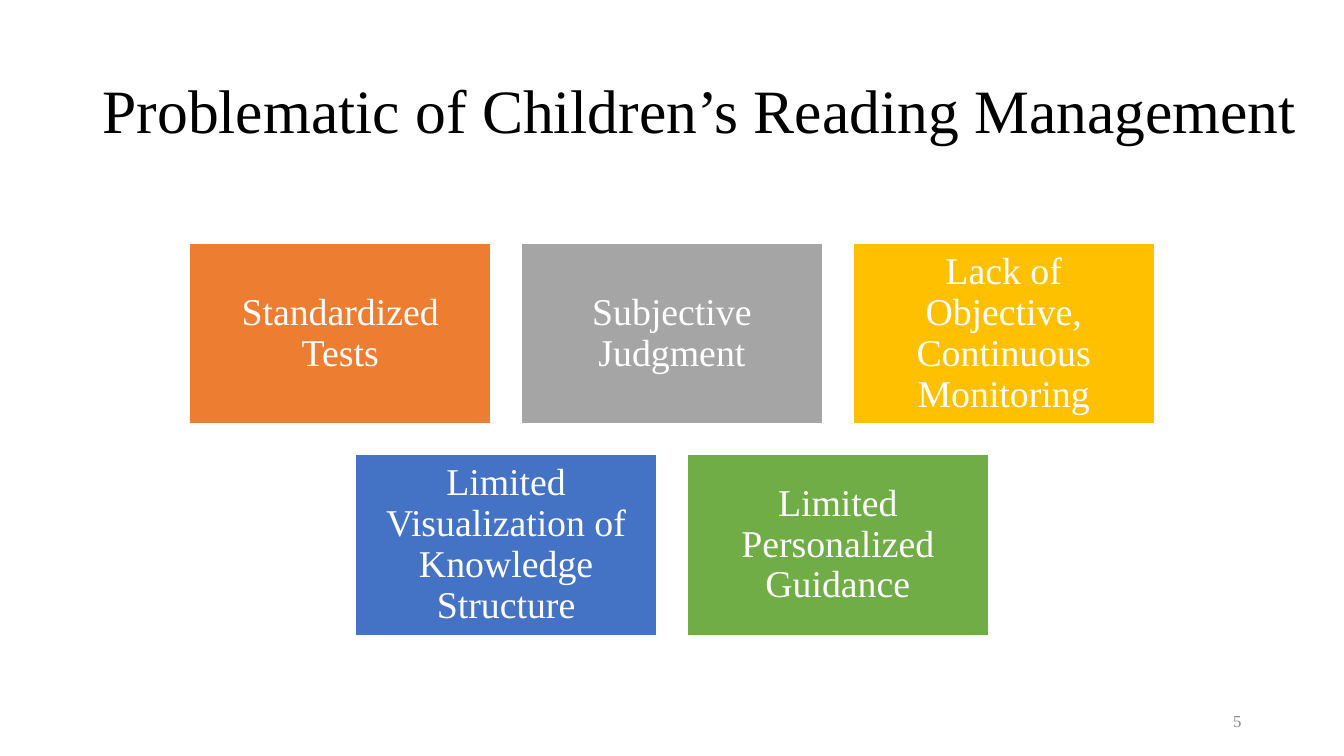
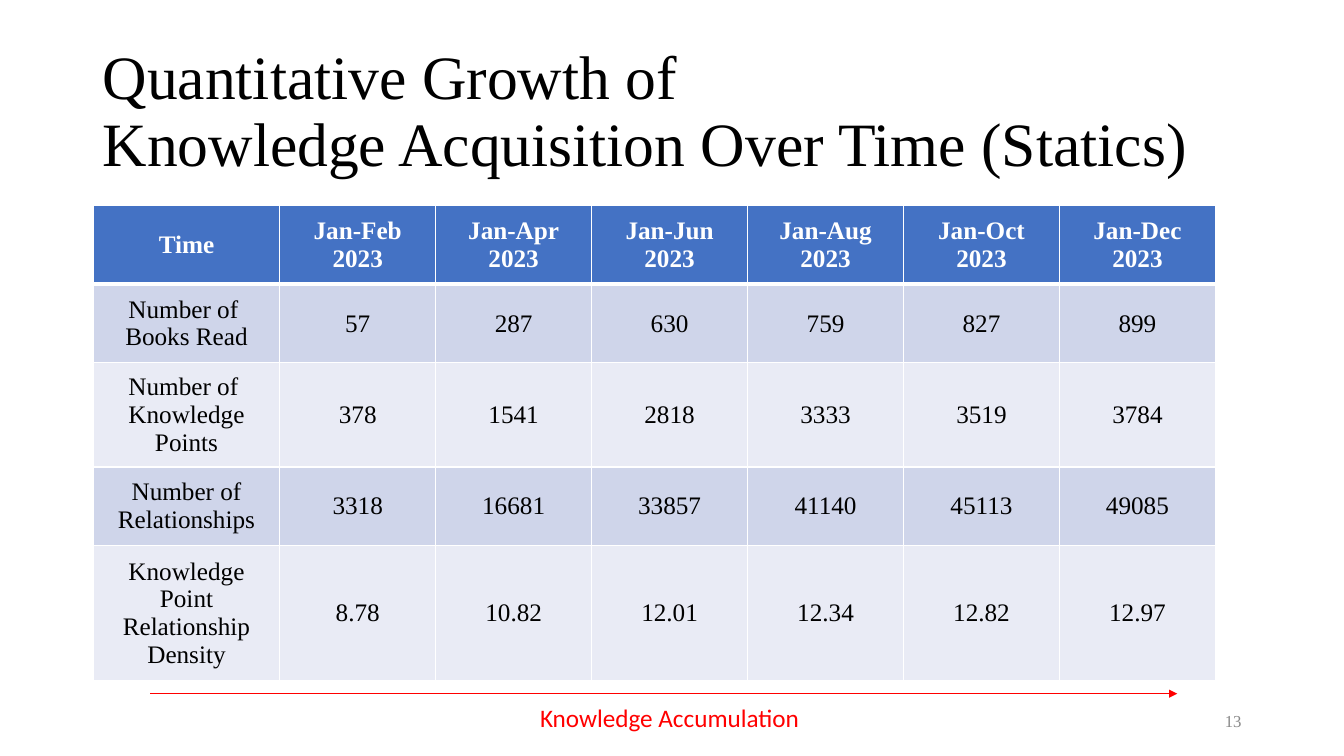
import pptx
import pptx.dml.color
import pptx.enum.shapes
import pptx.enum.text
import pptx.oxml.ns
import pptx.util
from lxml import etree
from pptx.util import Cm

COLORS = {
    "black": "000000", "white": "FFFFFF", "muted": "898989", "red": "FF0000",
    "orange": "ED7D31", "gray": "A5A5A5", "gold": "FFC000",
    "blue": "4472C4", "green": "70AD47",
    "band_dark": "CFD5EA", "band_light": "E9EBF5",
}
ALIGN = pptx.enum.text.PP_ALIGN
MIDDLE = pptx.enum.text.MSO_ANCHOR.MIDDLE
SLIDE_WIDTH, SLIDE_HEIGHT = 33.87, 19.05

PROBLEMS = [
    [("Standardized Tests", "orange"), ("Subjective Judgment", "gray"),
     ("Lack of Objective, Continuous Monitoring", "gold")],
    [("Limited Visualization of Knowledge Structure", "blue"),
     ("Limited Personalized Guidance", "green")],
]
GROWTH = [
    ["Time"] + [f"Jan-{month}\n2023" for month in ("Feb", "Apr", "Jun", "Aug", "Oct", "Dec")],
    ["Number of \nBooks Read", "57", "287", "630", "759", "827", "899"],
    ["Number of \nKnowledge Points", "378", "1541", "2818", "3333", "3519", "3784"],
    ["Number of Relationships", "3318", "16681", "33857", "41140", "45113", "49085"],
    ["Knowledge Point Relationship Density", "8.78", "10.82", "12.01", "12.34", "12.82", "12.97"],
]


def rgb(color):
    return pptx.dml.color.RGBColor.from_string(COLORS[color])


def add_xml(parent, tag, **attributes):
    return etree.SubElement(parent, pptx.oxml.ns.qn(tag), attributes)


class Builder:
    serif = "Times New Roman"

    def __init__(self):
        self.deck = pptx.Presentation()
        self.deck.slide_width = Cm(SLIDE_WIDTH)
        self.deck.slide_height = Cm(SLIDE_HEIGHT)
        self.page = None

    def add_text(self, frame, text, size, color, align=ALIGN.LEFT, font=serif,
                 bold=False, spacing=None):
        for index, line in enumerate(text.split("\n")):
            para = frame.add_paragraph() if index else frame.paragraphs[0]
            para.alignment = align
            para.line_spacing = spacing
            for part, piece in enumerate(line.split("\v")):
                if part:
                    para.add_line_break()
                span = para.add_run()
                span.text = piece
                span.font.name = font
                span.font.size = pptx.util.Pt(size)
                span.font.bold = bold
                span.font.color.rgb = rgb(color)

    def start_page(self, title, number, title_width):
        self.page = self.deck.slides.add_slide(self.deck.slide_layouts[5])
        box = self.page.shapes.title
        box.left, box.top, box.width, box.height = Cm(2.33), Cm(1.01), Cm(title_width), Cm(3.68)
        frame = box.text_frame
        frame.auto_size = pptx.enum.text.MSO_AUTO_SIZE.NONE
        frame.vertical_anchor = MIDDLE
        self.add_text(frame, title, 44, "black", spacing=0.9)
        self.label(number, 23.92, 17.66, 7.62, 12, "muted", ALIGN.RIGHT).vertical_anchor = MIDDLE

    def label(self, text, left, top, width, size, color, align=ALIGN.LEFT, font=serif, wrap=True):
        box = self.page.shapes.add_textbox(Cm(left), Cm(top), Cm(width), Cm(1.01))
        frame = box.text_frame
        frame.word_wrap = wrap
        self.add_text(frame, text, size, color, align, font)
        return frame

    def card(self, text, color, left, top, width, height):
        box = self.page.shapes.add_shape(pptx.enum.shapes.MSO_SHAPE.RECTANGLE,
                                         Cm(left), Cm(top), Cm(width), Cm(height))
        box.shadow.inherit = False
        box.fill.solid()
        box.fill.fore_color.rgb = rgb(color)
        box.line.color.rgb = rgb("white")
        box.line.width = pptx.util.Pt(1)
        frame = box.text_frame
        frame.word_wrap = True
        frame.vertical_anchor = MIDDLE
        frame.margin_left = frame.margin_right = frame.margin_top = frame.margin_bottom = Cm(0.28)
        self.add_text(frame, text, 27, "white", ALIGN.CENTER, spacing=0.9)

    def card_rows(self, rows, top, width, height, gap):
        for level, cards in enumerate(rows):
            left = (SLIDE_WIDTH - len(cards) * (width + gap) + gap) / 2
            for index, (text, color) in enumerate(cards):
                self.card(text, color, left + index * (width + gap),
                          top + level * (height + gap), width, height)

    def border(self, cell, widths):
        properties = cell._tc.get_or_add_tcPr()
        for side, width in zip("LRTB", widths):
            line = add_xml(properties, f"a:ln{side}", w=str(pptx.util.Pt(width)))
            add_xml(add_xml(line, "a:solidFill"), "a:srgbClr", val=COLORS["white"])

    def table(self, rows, left, top, widths, heights):
        grid = self.page.shapes.add_table(len(rows), len(widths), Cm(left), Cm(top),
                                          Cm(sum(widths)), Cm(sum(heights))).table
        for column, width in zip(grid.columns, widths):
            column.width = Cm(width)
        for row, (texts, height) in enumerate(zip(rows, heights)):
            grid.rows[row].height = Cm(height)
            header = row == 0
            fill = "blue" if header else ("band_light", "band_dark")[row % 2]
            for column, text in enumerate(texts):
                cell = grid.cell(row, column)
                self.border(cell, (1, 1, 3 if row == 1 else 1, 3 if header else 1))
                cell.fill.solid()
                cell.fill.fore_color.rgb = rgb(fill)
                cell.vertical_anchor = MIDDLE
                self.add_text(cell.text_frame, text, 18, "white" if header else "black",
                              ALIGN.CENTER, bold=header)

    def arrow(self, left, right, height, color):
        line = self.page.shapes.add_connector(pptx.enum.shapes.MSO_CONNECTOR.STRAIGHT,
                                              Cm(left), Cm(height), Cm(right), Cm(height))
        line.line.color.rgb = rgb(color)
        line.line.width = pptx.util.Pt(0.5)
        properties = line._element.spPr
        add_xml(properties.find(pptx.oxml.ns.qn("a:ln")), "a:tailEnd", type="triangle")
        add_xml(properties, "a:effectLst")


def main():
    builder = Builder()

    builder.start_page("Problematic of Children’s Reading Management", "5", 31.04)
    builder.card_rows(PROBLEMS, top=6.13, width=7.6, height=4.56, gap=0.76)

    builder.start_page("Quantitative Growth of \vKnowledge Acquisition Over Time (Statics)",
                       "13", 29.21)
    builder.table(GROWTH, 2.35, 5.18, [4.7] + [3.93] * 6, [1.98, 1.98, 2.63, 1.98, 3.41])
    builder.arrow(3.79, 29.67, 17.48, "red")
    builder.label("Knowledge Accumulation", 13.36, 17.58, 7.14, 18, "red",
                  font="Calibri", wrap=False)

    builder.deck.save("out.pptx")


if __name__ == "__main__":
    main()
